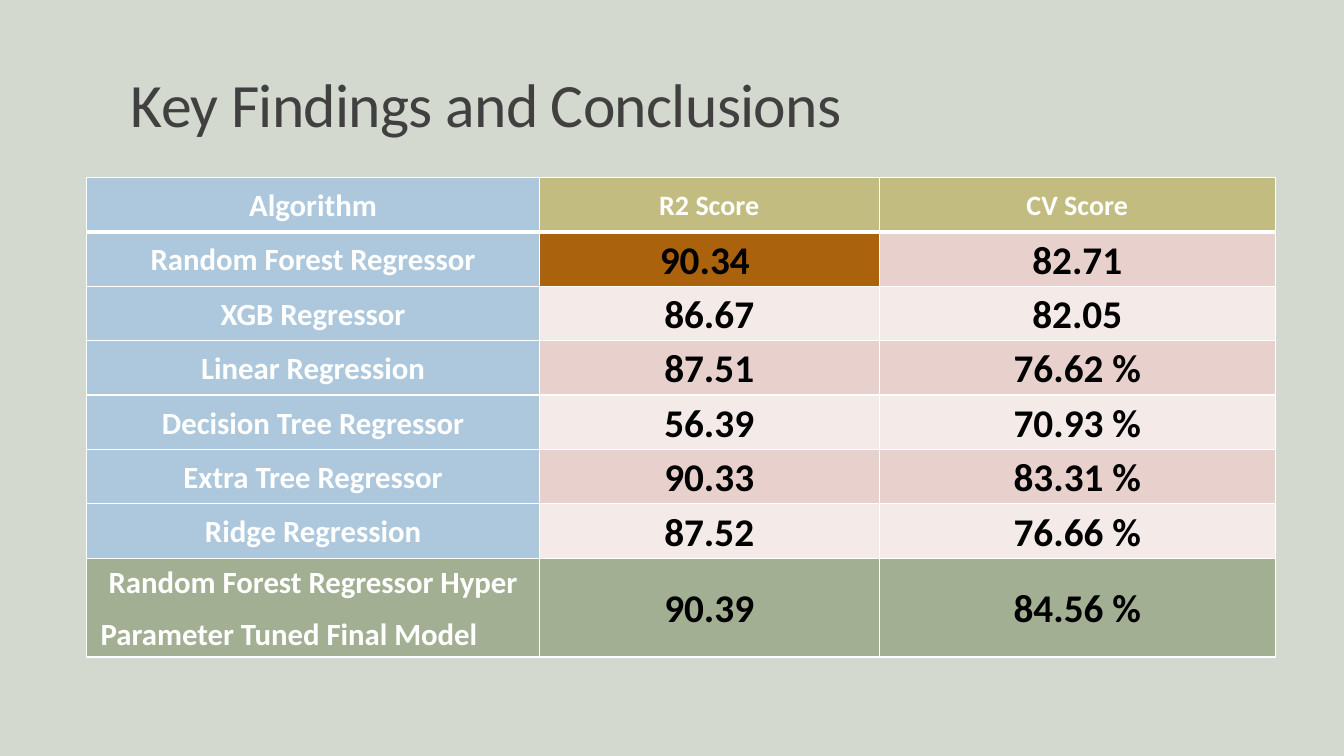
from lxml.etree import SubElement
from pptx import Presentation
from pptx.dml.color import RGBColor
from pptx.enum.text import MSO_ANCHOR, PP_ALIGN
from pptx.oxml.ns import qn
from pptx.util import Inches, Pt

BACKGROUND = RGBColor(0xD4, 0xD9, 0xCF)
TITLE_GREY = RGBColor(0x40, 0x40, 0x40)
WHITE = RGBColor(0xFF, 0xFF, 0xFF)
BLACK = RGBColor(0x00, 0x00, 0x00)
BLUE = RGBColor(0xAD, 0xC8, 0xDD)
OLIVE = RGBColor(0xC2, 0xBC, 0x80)
BROWN = RGBColor(0xAB, 0x62, 0x0D)
PINK = RGBColor(0xE8, 0xD1, 0xCD)
PALE_PINK = RGBColor(0xF4, 0xEA, 0xE8)
SAGE = RGBColor(0xA2, 0xAF, 0x92)

COLUMN_WIDTHS = [4.49, 3.37, 3.93]
ROW_HEIGHTS = [0.54] * 7 + [0.98]
SCORES = [
    ["Algorithm", "R2 Score", "CV Score"],
    ["Random Forest Regressor", "90.34 ", "82.71"],
    ["XGB Regressor", "86.67", "82.05"],
    ["Linear Regression", "87.51", "76.62 %"],
    ["Decision Tree Regressor", "56.39", "70.93 %"],
    ["Extra Tree Regressor", "90.33", "83.31 %"],
    ["Ridge Regression", "87.52", "76.66 %"],
    ["Random Forest Regressor Hyper\n Parameter Tuned Final Model", "90.39", "84.56 %"],
]
LAST_ROW = len(SCORES) - 1
BEST_SCORE_CELL = (1, 1)


def cell_fill(row, column):
    if row == LAST_ROW:
        return SAGE
    if column == 0:
        return BLUE
    if row == 0:
        return OLIVE
    if (row, column) == BEST_SCORE_CELL:
        return BROWN
    return PINK if row % 2 else PALE_PINK


def cell_text_style(row, column):
    """Return the text size and colour of a table cell."""
    if column == 0:
        return 22, WHITE
    return (20, WHITE) if row == 0 else (28, BLACK)


class SlideBuilder:
    font = "Calibri"

    def __init__(self, deck):
        self.page = deck.slides.add_slide(deck.slide_layouts[6])
        self.page.background.fill.solid()
        self.page.background.fill.fore_color.rgb = BACKGROUND

    def add_span(self, para, text, size, color, bold=False):
        span = para.add_run()
        span.text = text
        span.font.name = self.font
        span.font.size = Pt(size)
        span.font.bold = bold
        span.font.color.rgb = color
        return span

    def add_title(self, text, left, top, width, height):
        box = self.page.shapes.add_textbox(
            Inches(left), Inches(top), Inches(width), Inches(height))
        frame = box.text_frame
        frame.word_wrap = True
        frame.vertical_anchor = MSO_ANCHOR.BOTTOM
        para = frame.paragraphs[0]
        para.line_spacing = 0.85
        span = self.add_span(para, text, 44, TITLE_GREY)
        span.font._element.set("spc", "-50")

    def add_border(self, cell, side, points):
        properties = cell._tc.get_or_add_tcPr()
        line = SubElement(properties, qn(f"a:ln{side}"), w=str(Pt(points)))
        fill = SubElement(line, qn("a:solidFill"))
        SubElement(fill, qn("a:srgbClr"), val=str(WHITE))

    def fill_cell(self, cell, text, row, column):
        cell.margin_left = cell.margin_right = Inches(0.07)
        cell.margin_top = cell.margin_bottom = 0
        cell.vertical_anchor = MSO_ANCHOR.MIDDLE
        for side in "LRTB":
            under_header = (row, side) in [(0, "B"), (1, "T")]
            self.add_border(cell, side, 3 if under_header else 1)
        cell.fill.solid()
        cell.fill.fore_color.rgb = cell_fill(row, column)
        size, color = cell_text_style(row, column)
        frame = cell.text_frame
        for index, line in enumerate(text.split("\n")):
            para = frame.add_paragraph() if index else frame.paragraphs[0]
            para.alignment = PP_ALIGN.LEFT if index else PP_ALIGN.CENTER
            para.line_spacing = 1.07
            para.space_after = Pt(8)
            self.add_span(para, line, size, color, bold=True)

    def add_score_table(self, left, top):
        table = self.page.shapes.add_table(
            len(ROW_HEIGHTS), len(COLUMN_WIDTHS), Inches(left), Inches(top),
            Inches(sum(COLUMN_WIDTHS)), Inches(sum(ROW_HEIGHTS))).table
        for column, width in zip(table.columns, COLUMN_WIDTHS):
            column.width = Inches(width)
        for row, height in zip(table.rows, ROW_HEIGHTS):
            row.height = Inches(height)
        for row, texts in enumerate(SCORES):
            for column, text in enumerate(texts):
                self.fill_cell(table.cell(row, column), text, row, column)


def main():
    deck = Presentation()
    deck.slide_width = Inches(13.33)
    deck.slide_height = Inches(7.5)
    builder = SlideBuilder(deck)
    builder.add_title("Key Findings and Conclusions", 1.2, 0.31, 11, 1.13)
    builder.add_score_table(0.86, 1.76)
    deck.save("out.pptx")


if __name__ == "__main__":
    main()
